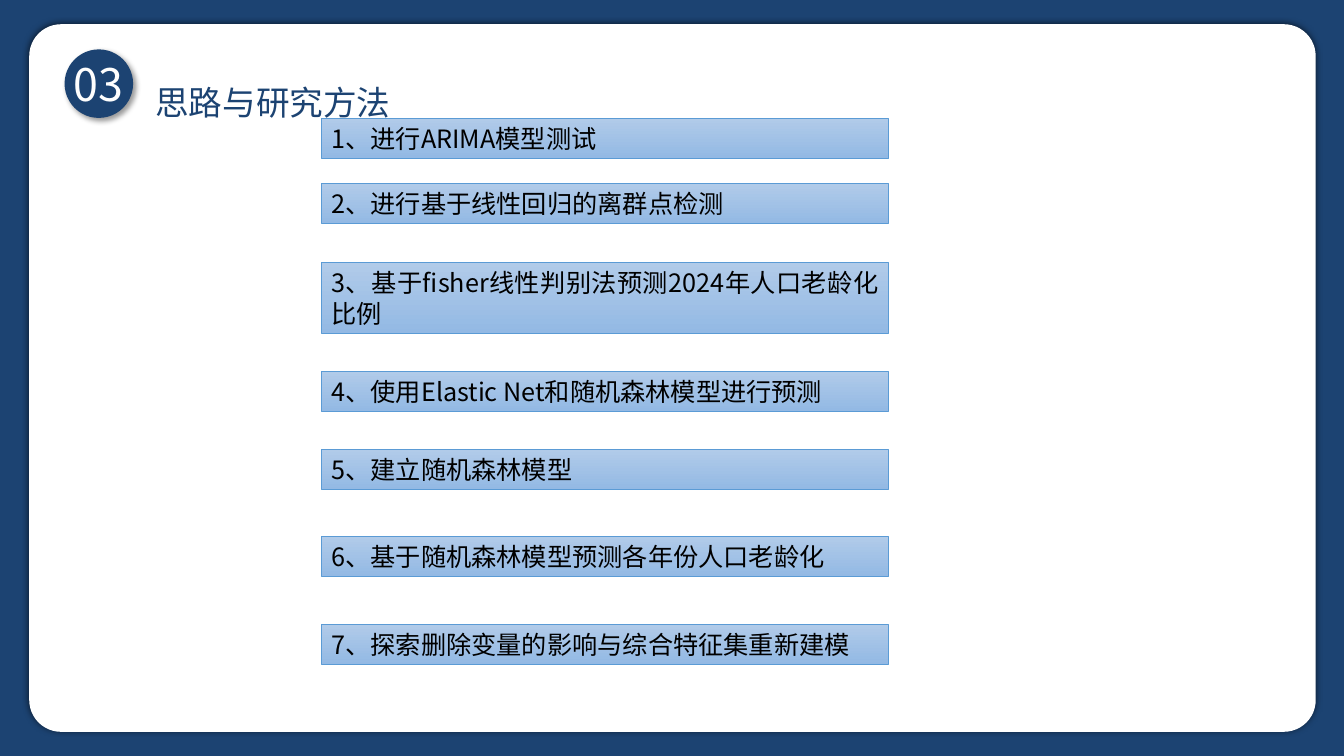
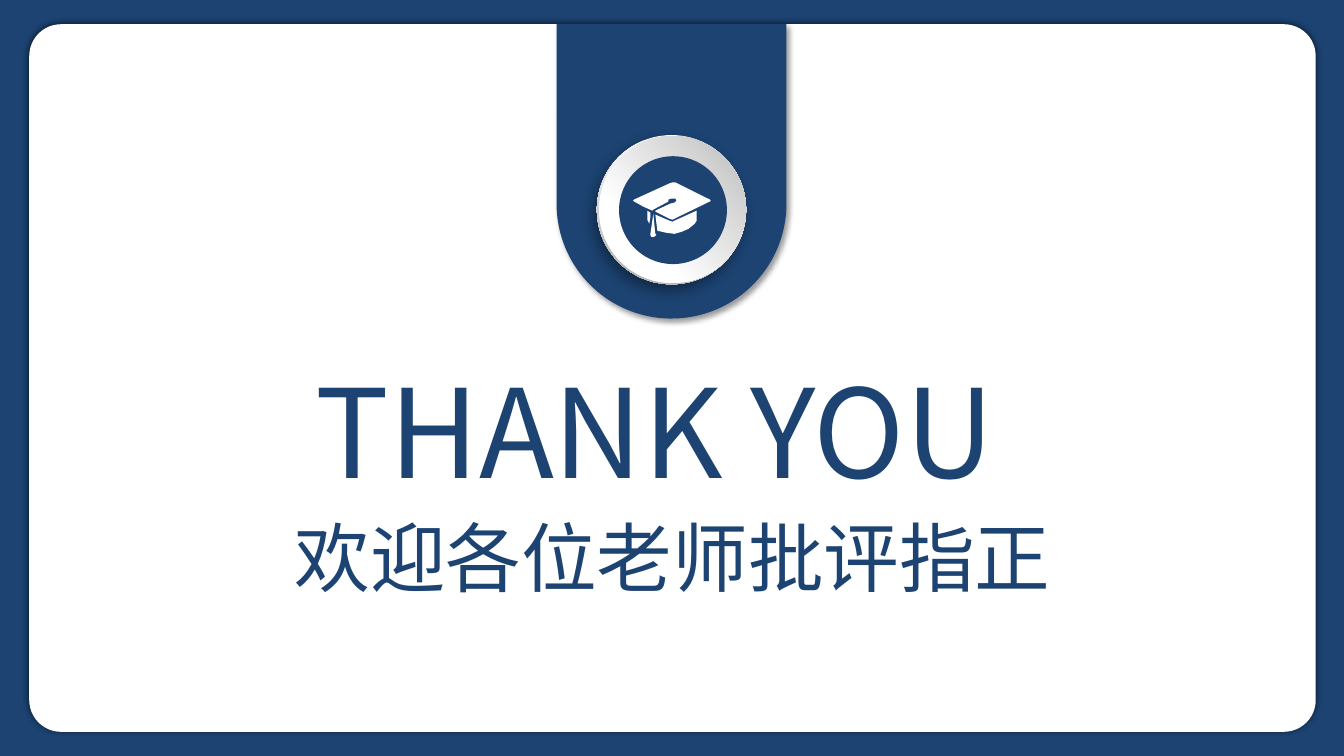
from lxml import etree
from pptx import Presentation
from pptx.dml.color import RGBColor
from pptx.enum import shapes, text
from pptx.oxml import ns
from pptx.util import Inches, Pt

NAVY = RGBColor(0x1C, 0x43, 0x72)
WHITE = RGBColor(0xFF, 0xFF, 0xFF)
OFF_WHITE = RGBColor(0xFE, 0xFE, 0xFE)
BLACK = RGBColor(0x00, 0x00, 0x00)
BAR_TOP = RGBColor(0xB1, 0xCB, 0xE9)
BAR_BOTTOM = RGBColor(0x93, 0xB9, 0xE4)
BAR_LINE = RGBColor(0x5B, 0x9B, 0xD5)
RIM_GRAY = RGBColor(0xB8, 0xB8, 0xB8)
RING_GRAY = RGBColor(0xBF, 0xBF, 0xBF)
FONT = "Noto Sans CJK SC"

TITLE_ONLY = 5
SHAPE = shapes.MSO_SHAPE
ALIGN = text.PP_ALIGN

BAR_HEIGHT = 0.4
TALL_BAR_HEIGHT = 0.71
STEPS = [
    (1.17, BAR_HEIGHT, "1、进行ARIMA模型测试"),
    (1.82, BAR_HEIGHT, "2、进行基于线性回归的离群点检测"),
    (2.6, TALL_BAR_HEIGHT, "3、基于fisher线性判别法预测2024年人口老龄化比例"),
    (3.68, BAR_HEIGHT, "4、使用Elastic Net和随机森林模型进行预测"),
    (4.46, BAR_HEIGHT, "5、建立随机森林模型"),
    (5.32, BAR_HEIGHT, "6、基于随机森林模型预测各年份人口老龄化"),
    (6.19, BAR_HEIGHT, "7、探索删除变量的影响与综合特征集重新建模"),
]

# Graduation cap outlines, in hundredths of an inch
CAP_BOARD = [
    (664, 182), (667, 181), (670, 181), (704, 198), (705, 199), (704, 200),
    (669, 217), (667, 218), (664, 217), (652, 211), (650, 210), (650, 209),
    (665, 202), (669, 201), (671, 199), (670, 197), (666, 197), (663, 198),
    (663, 200), (648, 208), (647, 209), (638, 205), (629, 200), (628, 199),
    (629, 198),
]
CAP_BAND = [(642, 209), (645, 211), (645, 216), (644, 222), (642, 218)]
CAP_BODY = [
    (669, 219), (691, 209), (691, 219), (689, 222), (683, 227), (676, 230),
    (669, 232), (661, 231), (652, 229), (650, 213), (664, 219), (667, 220),
]
CAP_TASSEL = [
    (645, 233), (648, 212), (650, 232), (651, 233), (649, 235), (646, 235),
]


def fill_solid(shape, color):
    shape.shadow.inherit = False
    shape.fill.solid()
    shape.fill.fore_color.rgb = color
    shape.line.fill.background()


def fill_gradient(shape, stops, angle):
    """Two (position, color) stops; the angle runs counter-clockwise."""
    shape.shadow.inherit = False
    shape.fill.gradient()
    shape.fill.gradient_angle = angle
    for stop, (position, color) in zip(shape.fill.gradient_stops, stops):
        stop.position = position
        stop.color.rgb = color
    shape.line.fill.background()


def add_shadow(shape, opacity, blur, distance, angle):
    """Opacity in percent, blur and distance in points, angle clockwise."""
    effects = shape.element.spPr.find(ns.qn("a:effectLst"))
    shadow = etree.SubElement(
        effects, ns.qn("a:outerShdw"), blurRad=str(Pt(blur)),
        dist=str(Pt(distance)), dir=str(angle * 60000),
        algn="ctr", rotWithShape="0")
    color = etree.SubElement(shadow, ns.qn("a:srgbClr"), val=str(BLACK))
    etree.SubElement(color, ns.qn("a:alpha"), val=str(opacity * 1000))


def add_shape(parent, kind, left, top, width, height):
    return parent.shapes.add_shape(
        kind, Inches(left), Inches(top), Inches(width), Inches(height))


def write_text(shape, content, size, color, align=ALIGN.LEFT,
               anchor=text.MSO_ANCHOR.TOP):
    frame = shape.text_frame
    frame.text = content
    frame.word_wrap = True
    frame.auto_size = text.MSO_AUTO_SIZE.NONE
    frame.vertical_anchor = anchor
    paragraph = frame.paragraphs[0]
    paragraph.alignment = align
    for run in paragraph.runs:
        run.font.size = Pt(size)
        run.font.name = FONT
        run.font.color.rgb = color
        etree.SubElement(run.font._element, ns.qn("a:ea"), typeface=FONT)
    return paragraph


def add_title(slide, content, left, top, width, height, size, align):
    title = slide.shapes.title
    title.left, title.top = Inches(left), Inches(top)
    title.width, title.height = Inches(width), Inches(height)
    return write_text(title, content, size, NAVY, align)


def build_master(presentation, slide):
    """Move a white panel, drawn on the slide, to the master's navy ground."""
    master = presentation.slide_master
    master.background.fill.solid()
    master.background.fill.fore_color.rgb = NAVY
    panel = add_shape(slide, SHAPE.ROUNDED_RECTANGLE, 0.29, 0.24, 12.76, 7.02)
    panel.adjustments[0] = 0.045
    fill_solid(panel, WHITE)
    add_shadow(panel, 68, 5, 0, 0)
    panel.element.nvSpPr.cNvPr.set("id", "100")
    master.shapes.element.insert(2, panel.element)


def add_section_number(slide, number):
    badge = add_shape(slide, SHAPE.OVAL, 0.64, 0.49, 0.68, 0.68)
    fill_solid(badge, NAVY)
    add_shadow(badge, 40, 4, 3, 45)
    write_text(badge, number, 32, OFF_WHITE, ALIGN.CENTER,
               text.MSO_ANCHOR.MIDDLE)
    frame = badge.text_frame
    frame.word_wrap = False
    frame.margin_left = frame.margin_right = 0
    frame.margin_top = frame.margin_bottom = 0


def add_step(slide, top, height, content):
    bar = add_shape(slide, SHAPE.RECTANGLE, 3.19, top, 5.62, height)
    fill_gradient(bar, [(0, BAR_TOP), (1, BAR_BOTTOM)], 270)
    bar.line.color.rgb = BAR_LINE
    bar.line.width = Pt(0.5)
    write_text(bar, content, 18, BLACK, ALIGN.JUSTIFY, text.MSO_ANCHOR.MIDDLE)


def add_outline(parent, points):
    builder = parent.shapes.build_freeform(*points[0], scale=Inches(0.01))
    builder.add_line_segments(points[1:], close=True)
    fill_solid(builder.convert_to_shape(), WHITE)


def add_emblem(slide):
    ribbon = add_shape(slide, SHAPE.ROUND_2_SAME_RECTANGLE,
                       5.52, 0.24, 2.28, 2.92)
    ribbon.adjustments[0] = 0
    ribbon.adjustments[1] = 0.5
    fill_solid(ribbon, NAVY)
    add_shadow(ribbon, 40, 4, 3, 45)

    emblem = slide.shapes.add_group_shape()
    rim = add_shape(emblem, SHAPE.OVAL, 5.92, 1.34, 1.48, 1.48)
    fill_gradient(rim, [(0.17, WHITE), (0.88, RIM_GRAY)], 253)
    add_shadow(rim, 39, 10, 5, 123)
    ring = add_shape(emblem, SHAPE.OVAL, 5.94, 1.35, 1.46, 1.46)
    fill_gradient(ring, [(0.29, WHITE), (0.98, RING_GRAY)], 42)
    disc = add_shape(emblem, SHAPE.OVAL, 6.14, 1.55, 1.07, 1.07)
    fill_solid(disc, NAVY)
    for points in (CAP_BOARD, CAP_BAND, CAP_BODY, CAP_TASSEL):
        add_outline(emblem, points)


def build_methods(slide):
    add_section_number(slide, "03")
    title = add_title(slide, "思路与研究方法", 1.44, 0.46, 4.15, 0.71, 24,
                      ALIGN.LEFT)
    title.line_spacing = 1.75
    for step in STEPS:
        add_step(slide, *step)


def build_closing(slide):
    add_emblem(slide)
    add_title(slide, "THANK YOU", 1.86, 3.48, 9.27, 1.58, 88, ALIGN.CENTER)
    subtitle = slide.shapes.add_textbox(
        Inches(2.61), Inches(5.02), Inches(8.12), Inches(1.01))
    write_text(subtitle, "欢迎各位老师批评指正", 54, NAVY, ALIGN.CENTER)


def main():
    presentation = Presentation()
    presentation.slide_width = Inches(13.33)
    presentation.slide_height = Inches(7.5)
    layout = presentation.slide_layouts[TITLE_ONLY]
    methods = presentation.slides.add_slide(layout)
    closing = presentation.slides.add_slide(layout)
    build_master(presentation, methods)
    build_methods(methods)
    build_closing(closing)
    presentation.save("out.pptx")


if __name__ == "__main__":
    main()
